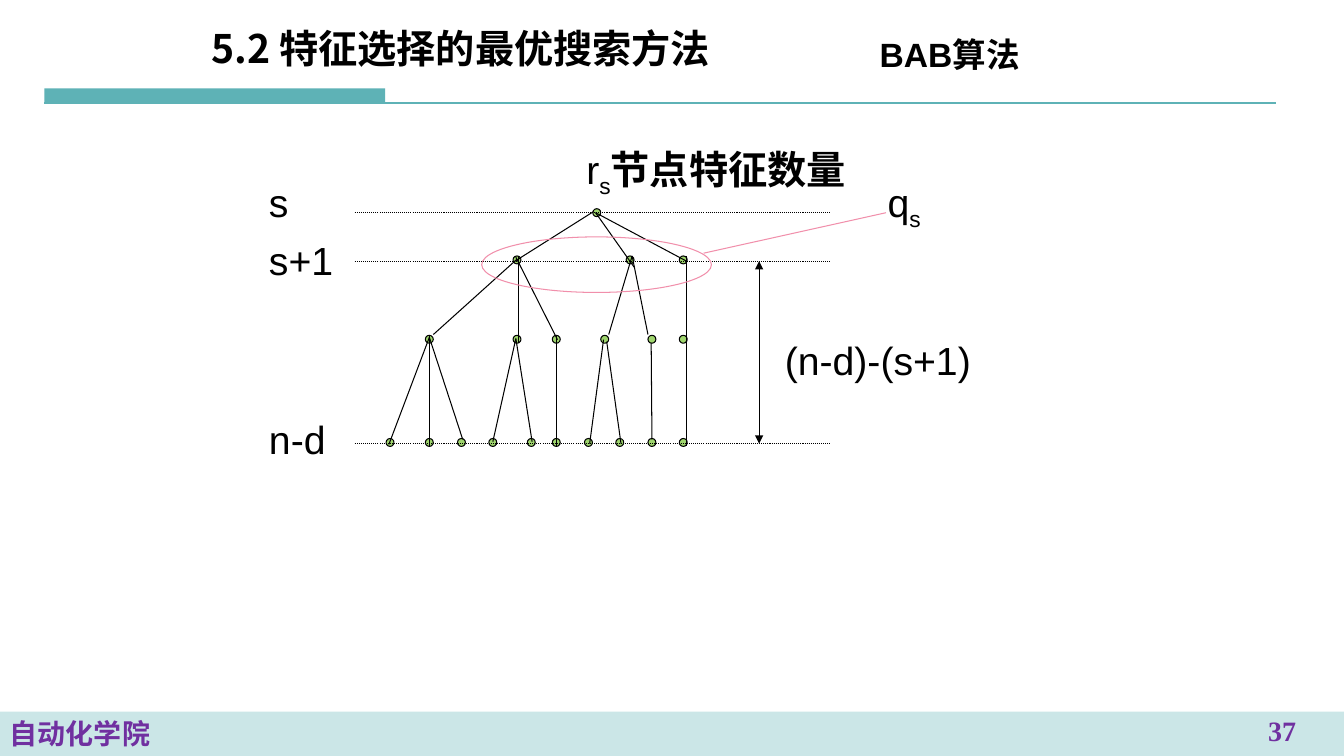
"""Build the slide on the BAB search tree for optimal feature selection."""
from lxml.etree import SubElement
from pptx import Presentation
from pptx.dml.color import RGBColor
from pptx.enum.dml import MSO_LINE
from pptx.enum.shapes import MSO_CONNECTOR, MSO_SHAPE
from pptx.enum.text import MSO_ANCHOR, MSO_AUTO_SIZE, PP_ALIGN
from pptx.oxml.ns import qn
from pptx.util import Cm, Pt

COLORS = {"teal": "5EB2B6", "node": "9FD56D", "ink": "000000",
          "pink": "F18FAB", "purple": "7030A0"}
HEADING = {"name": "Noto Sans CJK SC", "size": Pt(28), "bold": True}
LABEL = {"name": "Arial", "size": Pt(28), "bold": False}
TOPIC = {"name": "Arial", "size": Pt(24), "bold": True}
SCHOOL = {"name": "Arial", "size": Pt(20), "bold": True}
NUMBER = {"name": "Times New Roman", "size": Pt(20), "bold": True}

prs = Presentation()
prs.slide_width, prs.slide_height = Cm(33.87), Cm(19.05)
slide = prs.slides.add_slide(prs.slide_layouts[5])
shapes = slide.shapes


def add_line(start, end, color="ink", width=0.75):
    """Draw a straight line between two points in centimetres."""
    line = shapes.add_connector(MSO_CONNECTOR.STRAIGHT,
                                *(Cm(value) for value in (*start, *end)))
    line.line.color.rgb = RGBColor.from_string(COLORS[color])
    line.line.width = Pt(width)
    SubElement(line._element.spPr, qn("a:effectLst"))
    return line


def write(holder, parts, style, color="ink", align=PP_ALIGN.LEFT, anchor=MSO_ANCHOR.TOP):
    """Fill a shape with runs given as (text, extra format, baseline)."""
    frame = holder.text_frame
    frame.word_wrap = True
    frame.auto_size = MSO_AUTO_SIZE.NONE
    frame.vertical_anchor = anchor
    paragraph = frame.paragraphs[0]
    paragraph.alignment = align
    for text, extra, baseline in parts:
        run = paragraph.add_run()
        run.text = text
        for attribute, value in {**style, **extra}.items():
            setattr(run.font, attribute, value)
        run.font.color.rgb = RGBColor.from_string(COLORS[color])
        properties = run._r.get_or_add_rPr()
        SubElement(properties, qn("a:ea"), typeface="Noto Sans CJK SC")
        if baseline:
            properties.set("baseline", str(baseline))


title = shapes.title
title.left, title.top, title.width, title.height = Cm(5.08), Cm(0.43), Cm(17.15), Cm(1.57)
write(title, [("5.2 特征选择的最优搜索方法", {}, 0)], HEADING, anchor=MSO_ANCHOR.MIDDLE)

header_bar = shapes.add_shape(MSO_SHAPE.RECTANGLE, Cm(1.12), Cm(2.23), Cm(8.59), Cm(0.36))
footer_band = shapes.add_shape(MSO_SHAPE.RECTANGLE, 0, Cm(17.93), Cm(33.87), Cm(1.12))
for bar in (header_bar, footer_band):
    bar.shadow.inherit = False
    bar.fill.solid()
    bar.fill.fore_color.rgb = RGBColor.from_string(COLORS["teal"])
    bar.line.fill.background()
band_color = footer_band._element.spPr.find(qn("a:solidFill")).find(qn("a:srgbClr"))
SubElement(band_color, qn("a:alpha"), val="32000")
write(footer_band, [("自动化学院", {}, 0)], SCHOOL, "purple", anchor=MSO_ANCHOR.MIDDLE)
add_line((1.12, 2.59), (32.16, 2.59), "teal", 1.5)

NODE_SIZE = 0.2
tree_levels = {
    5.36: [15.04],
    6.55: [13.03, 15.88, 17.22],
    8.55: [10.82, 13.03, 14.02, 15.24, 16.43, 17.22],
    11.15: [9.83, 10.82, 11.63, 12.42, 13.39, 14.02, 14.83, 15.62, 16.43, 17.22],
}
for level_y, centers in tree_levels.items():
    for center_x in centers:
        node = shapes.add_shape(MSO_SHAPE.OVAL, Cm(center_x - NODE_SIZE / 2),
                                Cm(level_y - NODE_SIZE / 2), Cm(NODE_SIZE), Cm(NODE_SIZE))
        node.shadow.inherit = False
        node.fill.solid()
        node.fill.fore_color.rgb = RGBColor.from_string(COLORS["node"])
        node.line.color.rgb = RGBColor.from_string(COLORS["ink"])
        node.line.width = Pt(0.75)

branches = [
    ((15.01, 5.36), [(17.3, 6.58), (15.98, 6.73)]),
    ((14.96, 5.33), [(12.98, 6.58)]),
    ((13.03, 6.53), [(10.92, 8.43)]),
    ((13.06, 6.45), [(13.06, 8.64)]),
    ((13.0, 6.48), [(14.05, 8.56)]),
    ((15.93, 6.45), [(15.34, 8.43), (16.33, 8.43)]),
    ((17.3, 6.45), [(17.3, 8.64)]),
    ((10.82, 8.43), [(10.82, 11.25)]),
    ((10.82, 8.5), [(9.8, 11.2), (11.66, 11.07)]),
    ((13.0, 8.53), [(12.42, 11.13), (13.41, 11.13)]),
    ((14.02, 8.43), [(14.02, 11.25)]),
    ((15.21, 8.56), [(14.86, 11.18)]),
    ((15.29, 8.61), [(15.65, 11.18)]),
    ((16.41, 8.64), [(16.43, 11.07)]),
    ((17.3, 8.43), [(17.3, 11.25)]),
]
for parent, children in branches:
    for child in children:
        add_line(parent, child)

for guide_y in (5.36, 6.58, 11.18):
    guide = add_line((8.94, guide_y), (20.93, guide_y))
    guide.line.dash_style = MSO_LINE.ROUND_DOT

depth_arrow = add_line((19.13, 6.58), (19.13, 11.18))
for arrow_end in ("a:headEnd", "a:tailEnd"):
    SubElement(depth_arrow.line._get_or_add_ln(), qn(arrow_end), type="triangle")

successors = shapes.add_shape(MSO_SHAPE.OVAL, Cm(12.14), Cm(5.97), Cm(5.79), Cm(1.4))
successors.shadow.inherit = False
successors.fill.background()
successors.line.color.rgb = RGBColor.from_string(COLORS["pink"])
successors.line.width = Pt(0.75)
add_line((17.73, 6.38), (22.33, 5.36), "pink")

SUBSCRIPT = ("s", {}, -25000)
labels = [
    ((6.53, 4.37, 1.4, 1.45), [("s", {}, 0)], LABEL),
    ((6.53, 5.82, 2.79, 1.45), [("s+1", {}, 0)], LABEL),
    ((6.53, 10.34, 2.79, 1.45), [("n-d", {}, 0)], LABEL),
    ((19.53, 8.36, 5.79, 1.45), [("(n-d)-(s+1)", {}, 0)], LABEL),
    ((22.12, 4.37, 1.6, 1.45), [("q", {}, 0), SUBSCRIPT], LABEL),
    ((14.53, 3.53, 8.0, 1.45),
     [("r", {}, 0), SUBSCRIPT, ("节点特征数量", {"bold": True}, 0)], LABEL),
    ((21.92, 0.74, 4.8, 1.27), [("BAB算法", {}, 0)], TOPIC),
]
for place, parts, style in labels:
    write(shapes.add_textbox(*(Cm(value) for value in place)), parts, style)

page_number = shapes.add_textbox(Cm(30.76), Cm(17.86), Cm(3.1), Cm(0.99))
write(page_number, [("37", {}, 0)], NUMBER, "purple", PP_ALIGN.CENTER)

prs.save("out.pptx")
